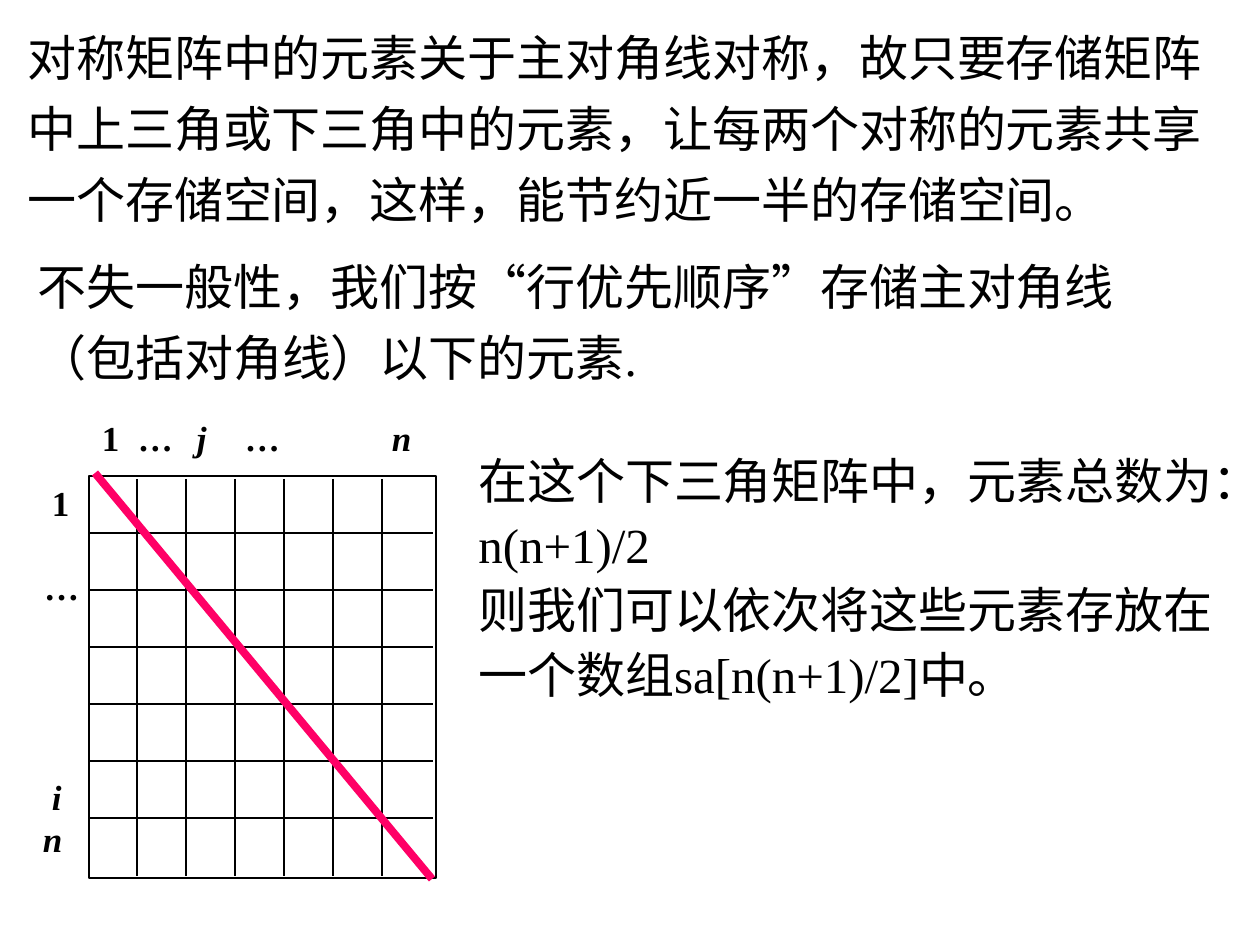
from lxml import etree
from pptx import Presentation
from pptx import util as u
from pptx.dml.color import RGBColor
from pptx.enum import shapes, text
from pptx.oxml.ns import qn

BLACK = RGBColor(0x00, 0x00, 0x00)
PINK = RGBColor(0xFF, 0x00, 0x66)


def px(length):
    return u.Emu(round(length * 914400 / 126))


class SlideBuilder:
    font_name = "Times New Roman"
    body_size = u.Pt(28)
    label_size = u.Pt(20)
    label_line = u.Pt(24)

    def __init__(self, slide):
        self.slide = slide

    def text_box(self, left, top, width, height):
        shape = self.slide.shapes.add_textbox(px(left), px(top), px(width), px(height))
        shape.text_frame.word_wrap = True
        return shape.text_frame

    def style_runs(self, paragraph, size, bold=False, italics=""):
        for run in paragraph.runs:
            run.font.name = self.font_name
            run.font.size = size
            run.font.bold = bold
            run.font.italic = run.text.strip() in tuple(italics)
            run.font.color.rgb = BLACK

    def body(self, content, left, top, width, height, spacing):
        frame = self.text_box(left, top, width, height)
        frame.auto_size = text.MSO_AUTO_SIZE.SHAPE_TO_FIT_TEXT
        frame.text = content
        for paragraph in frame.paragraphs:
            paragraph.line_spacing = spacing
            self.style_runs(paragraph, self.body_size)

    def label_frame(self, left, top, width, height):
        frame = self.text_box(left, top, width, height)
        frame.margin_left = frame.margin_right = 0
        frame.margin_top = frame.margin_bottom = 0
        return frame

    def row_labels(self, labels, left, top, width, height):
        """Each label is (text, indent in px, skipped lines above)."""
        frame = self.label_frame(left, top, width, height)
        frame.text = "\n".join(label for label, _, _ in labels)
        for paragraph, (_, indent, skipped) in zip(frame.paragraphs, labels):
            properties = paragraph._p.get_or_add_pPr()
            properties.set("marL", str(px(indent)))
            properties.set("indent", "0")
            paragraph.line_spacing = self.label_line
            paragraph.space_before = u.Pt(skipped * self.label_line.pt)
            self.style_runs(paragraph, self.label_size, True, "in")

    def column_labels(self, labels, stops, left, top, width, height):
        paragraph = self.label_frame(left, top, width, height).paragraphs[0]
        paragraph.line_spacing = self.label_line
        tabs = etree.SubElement(paragraph._p.get_or_add_pPr(), qn("a:tabLst"))
        for stop in stops:
            etree.SubElement(tabs, qn("a:tab"), pos=str(px(stop)), algn="l")
        for index, label in enumerate(labels):
            paragraph.add_run().text = label if index == 0 else "\t" + label
        self.style_runs(paragraph, self.label_size, True, "jn")

    def frame(self, left, top, width, height):
        shape = self.slide.shapes.add_shape(
            shapes.MSO_SHAPE.RECTANGLE, px(left), px(top), px(width), px(height))
        shape.shadow.inherit = False
        shape.fill.background()
        shape.line.color.rgb = BLACK
        shape.line.width = u.Pt(0.75)

    def line(self, x1, y1, x2, y2, color=BLACK, weight=0.75):
        connector = self.slide.shapes.add_connector(
            shapes.MSO_CONNECTOR.STRAIGHT, px(x1), px(y1), px(x2), px(y2))
        connector.line.color.rgb = color
        connector.line.width = u.Pt(weight)
        etree.SubElement(connector._element.spPr, qn("a:effectLst"))


def main():
    presentation = Presentation()
    presentation.slide_width, presentation.slide_height = px(1260), px(945)
    slide = presentation.slides.add_slide(presentation.slide_layouts[6])
    builder = SlideBuilder(slide)

    # Explanation above the matrix
    builder.body("对称矩阵中的元素关于主对角线对称，故只要存储矩阵中上三角或下三角中的元素，"
                 "让每两个对称的元素共享一个存储空间，这样，能节约近一半的存储空间。",
                 15, 10, 1226, 224, 1.2)
    builder.body("不失一般性，我们按“行优先顺序”存储主对角线（包括对角线）以下的元素.",
                 25, 239, 1191, 154, 1.2)

    # Row and column labels
    builder.row_labels([("1", 18, 0), ("…", 10, 1), ("i", 18, 4), ("n", 9, 0)],
                       34, 481, 59, 397)
    builder.column_labels(["1", "…", "j", "…", "n"], [36, 95, 143, 290],
                          102, 416, 329, 59)

    # Matrix grid with its main diagonal
    builder.frame(89, 476, 347, 402)
    for index in range(6):
        row_y = 533 + 57 * index
        builder.line(89, row_y, 433, row_y)
    for index in range(6):
        column_x = 137 + 49 * index
        builder.line(column_x, 479, column_x, 876)
    builder.line(95, 473, 432, 879, PINK, 4.5)

    # Storage size
    builder.body("在这个下三角矩阵中，元素总数为：n(n+1)/2\n"
                 "则我们可以依次将这些元素存放在一个数组sa[n(n+1)/2]中。",
                 466, 438, 769, 272, 1.1)

    presentation.save("out.pptx")


if __name__ == "__main__":
    main()
